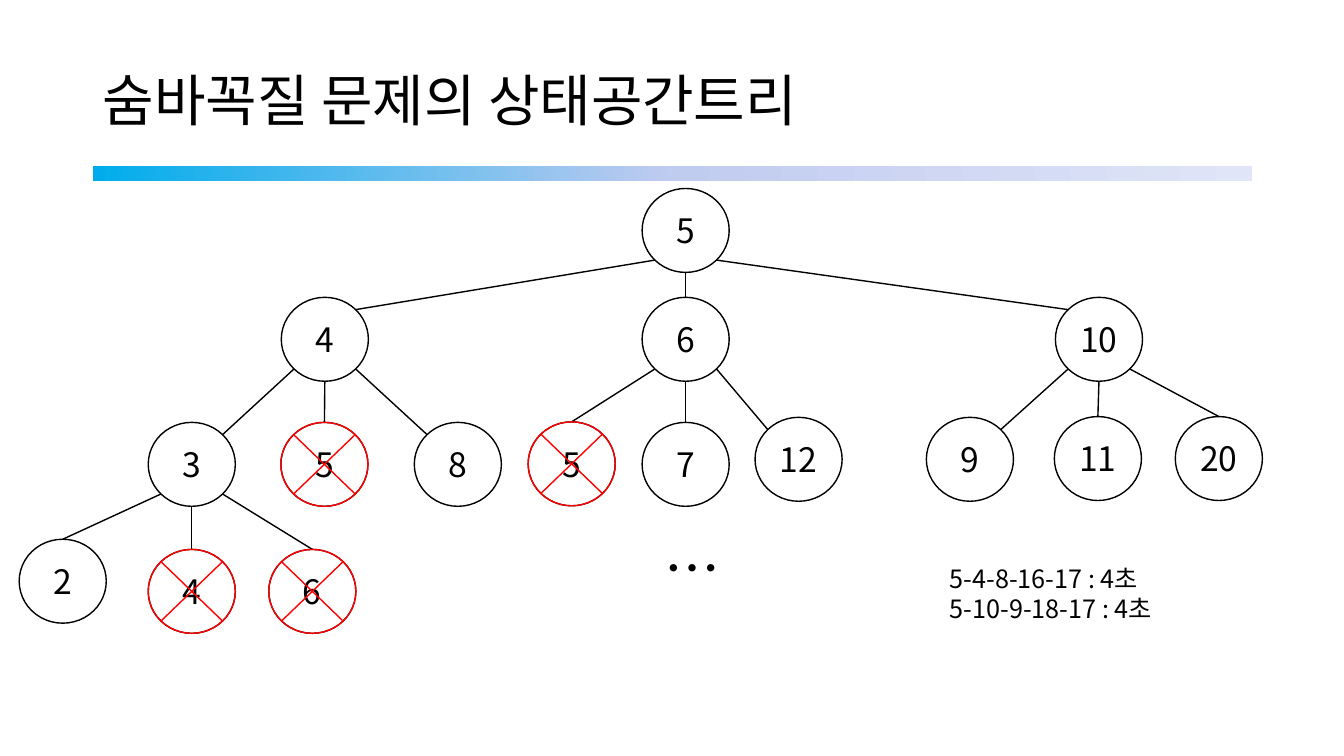
import copy
import math

import pptx
import pptx.dml.color
import pptx.enum.shapes
import pptx.enum.text
import pptx.oxml.ns
import pptx.util
from lxml import etree

RGBColor = pptx.dml.color.RGBColor
BLACK = RGBColor(0x00, 0x00, 0x00)
RED = RGBColor(0xFF, 0x00, 0x00)
BAR_STOPS = (
    (0, RGBColor(0x00, 0xAC, 0xEB)),
    (0.5, RGBColor(0xC0, 0xCB, 0xF0)),
    (1, RGBColor(0xE0, 0xE5, 0xF7)),
)
FONT = "Noto Sans CJK KR"
SHAPES = pptx.enum.shapes.MSO_SHAPE
MIDDLE = pptx.enum.text.MSO_ANCHOR.MIDDLE

SLIDE_W = pptx.util.Inches(13.33)
SLIDE_H = pptx.util.Inches(7.5)
COLUMN = SLIDE_W / 100
ROW = SLIDE_H / 100
NODE_COLUMNS = 6.48
NODE_ROWS = 11.1
DIAGONAL = math.sqrt(0.5)

# label, column, row, side of entry (-1 left, 0 top, 1 right), pruned, children
HIDE_AND_SEEK = ("5", 47.78, 24.93, 0, False, (
    ("4", 20.93, 39.33, 1, False, (
        ("3", 11.03, 55.87, 1, False, (
            ("2", 1.43, 71.33, 0, False, ()),
            ("4", 11.03, 72.67, 0, True, ()),
            ("6", 20, 72.67, 0, True, ()),
        )),
        ("5", 20.9, 55.87, 0, True, ()),
        ("8", 30.83, 55.87, -1, False, ()),
    )),
    ("6", 47.78, 39.33, 0, False, (
        ("5", 39.3, 55.8, 0, True, ()),
        ("7", 47.78, 55.87, 0, False, ()),
        ("12", 56.18, 55.2, -1, False, ()),
    )),
    ("10", 78.53, 39.33, -1, False, (
        ("9", 68.93, 55.2, 1, False, ()),
        ("11", 78.45, 55.1, 0, False, ()),
        ("20", 87.45, 55.1, 0, False, ()),
    )),
))


def grid(column, row, columns, rows):
    return [int(n) for n in (column * COLUMN, row * ROW, columns * COLUMN, rows * ROW)]


def format_text(frame, size):
    for paragraph in frame.paragraphs:
        for run in paragraph.runs:
            run.font.size = pptx.util.Pt(size)
            run.font.name = FONT
            run.font.color.rgb = BLACK
            east_asian = etree.SubElement(run.font._element, pptx.oxml.ns.qn("a:ea"))
            east_asian.set("typeface", FONT)


def add_title(slide, text):
    title = slide.shapes.title
    title.left, title.top, title.width, title.height = grid(6.9, 5.33, 86.27, 16.67)
    title.text_frame.text = text
    title.text_frame.vertical_anchor = MIDDLE
    paragraph = title.text_frame.paragraphs[0]
    paragraph.alignment = pptx.enum.text.PP_ALIGN.LEFT
    paragraph.line_spacing = 0.9
    format_text(title.text_frame, 40)


def add_gradient_bar(slide):
    bar = slide.shapes.add_shape(SHAPES.RECTANGLE, *grid(6.9, 22, 86.27, 2))
    bar.shadow.inherit = False
    bar.line.fill.background()
    bar.fill.gradient()
    bar.fill.gradient_angle = 0
    first = bar.fill.gradient_stops[0]._gs
    first.addnext(copy.deepcopy(first))
    for stop, (position, color) in zip(bar.fill.gradient_stops, BAR_STOPS):
        stop.position = position
        stop.color.rgb = color


def add_outline(slide, preset, column, row, color):
    outline = slide.shapes.add_shape(preset, *grid(column, row, NODE_COLUMNS, NODE_ROWS))
    outline.shadow.inherit = False
    outline.fill.background()
    outline.line.color.rgb = color
    outline.line.width = pptx.util.Pt(1)
    return outline


def rim_point(column, row, side, down):
    reach = DIAGONAL if side else 1
    x = column + NODE_COLUMNS / 2 * (1 + side * reach)
    y = row + NODE_ROWS / 2 * (1 + down * reach)
    return int(x * COLUMN), int(y * ROW)


def add_branch(slide, start, end):
    straight = pptx.enum.shapes.MSO_CONNECTOR.STRAIGHT
    branch = slide.shapes.add_connector(straight, *start, *end)
    branch.line.color.rgb = BLACK
    branch.line.width = pptx.util.Pt(1)
    etree.SubElement(branch._element.spPr, pptx.oxml.ns.qn("a:effectLst"))


def add_tree(slide, node):
    label, column, row, _, pruned, children = node
    state = add_outline(slide, SHAPES.OVAL, column, row, BLACK)
    state.text_frame.text = label
    state.text_frame.vertical_anchor = MIDDLE
    state.text_frame.paragraphs[0].alignment = pptx.enum.text.PP_ALIGN.CENTER
    format_text(state.text_frame, 24)
    if pruned:
        add_outline(slide, SHAPES.FLOWCHART_SUMMING_JUNCTION, column, row, RED)
    for exit_side, child in zip((-1, 0, 1), children):
        _, child_column, child_row, entry_side, _, _ = child
        add_branch(
            slide,
            rim_point(column, row, exit_side, 1),
            rim_point(child_column, child_row, entry_side, -1),
        )
        add_tree(slide, child)


def add_label(slide, text, size, *place):
    label = slide.shapes.add_textbox(*grid(*place))
    label.text_frame.text = text
    label.text_frame.word_wrap = False
    label.text_frame.auto_size = pptx.enum.text.MSO_AUTO_SIZE.SHAPE_TO_FIT_TEXT
    format_text(label.text_frame, size)


def main():
    deck = pptx.Presentation()
    deck.slide_width = SLIDE_W
    deck.slide_height = SLIDE_H
    slide = deck.slides.add_slide(deck.slide_layouts[5])
    add_gradient_bar(slide)
    add_title(slide, "숨바꼭질 문제의 상태공간트리")
    add_tree(slide, HIDE_AND_SEEK)
    add_label(slide, "…", 40, 48.69, 69.87, 4.65, 10.27)
    paths = "5-4-8-16-17 : 4초\n5-10-9-18-17 : 4초"
    add_label(slide, paths, 18, 69.92, 73.87, 17.63, 9.47)
    deck.save("out.pptx")


if __name__ == "__main__":
    main()
